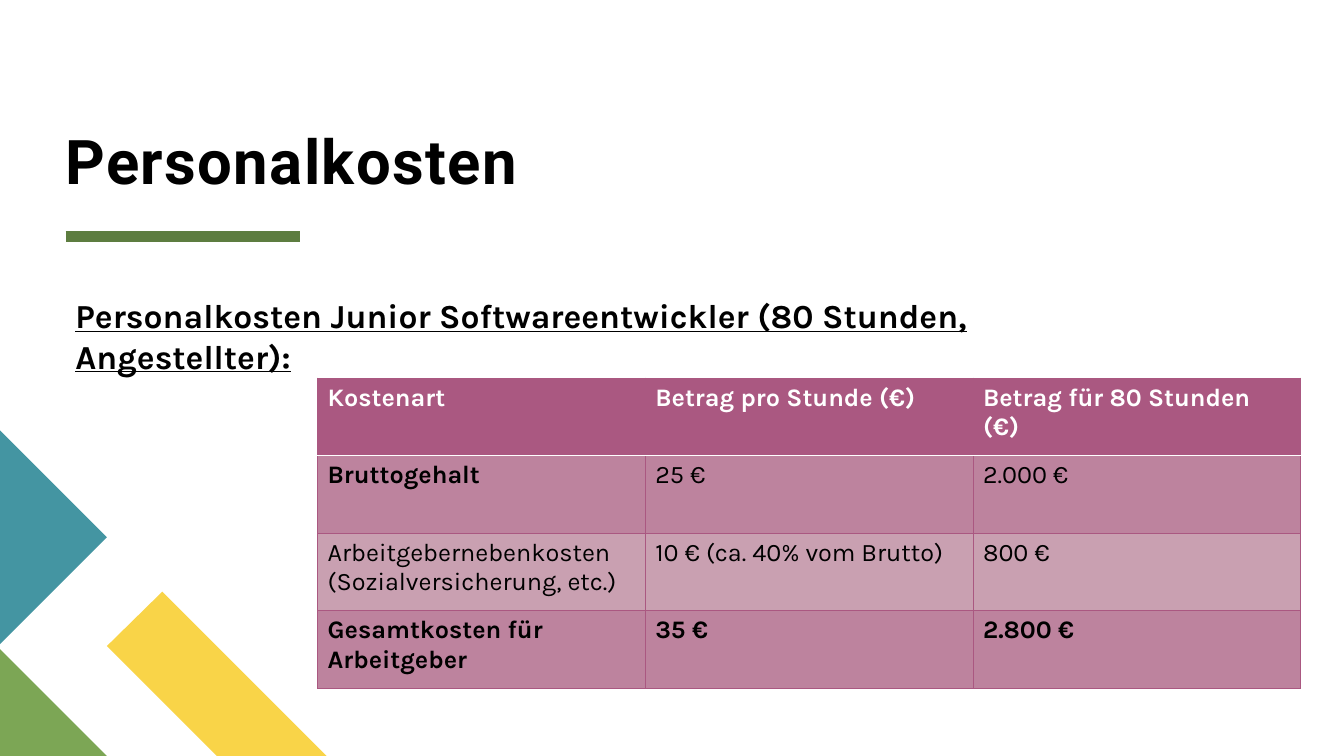
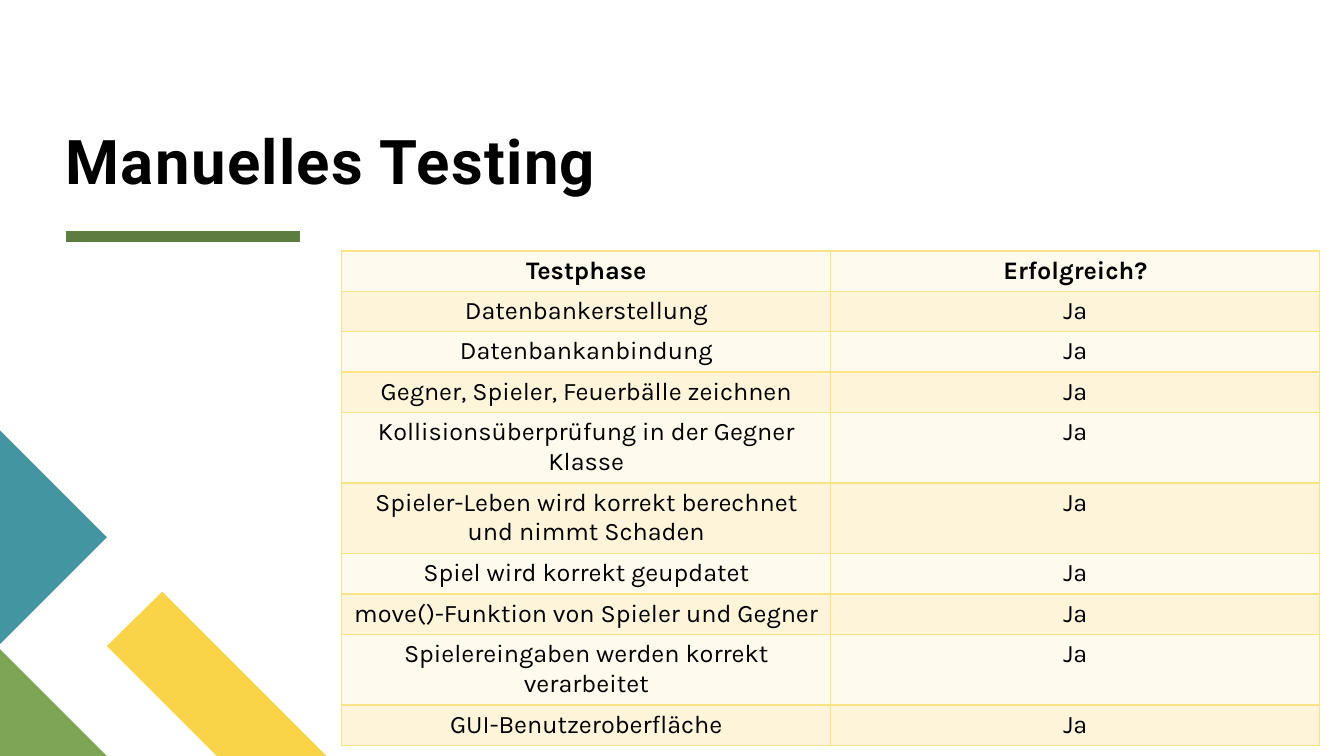
from dataclasses import dataclass

from lxml.etree import SubElement as Sub
from pptx import Presentation
from pptx.dml.color import RGBColor as Rgb
from pptx.enum.shapes import MSO_CONNECTOR as Link
from pptx.enum.text import MSO_ANCHOR as Anchor, MSO_AUTO_SIZE as Auto, PP_ALIGN as Align
from pptx.oxml.ns import qn
from pptx.slide import Slide
from pptx.util import Pt

PX = 9144  # EMU per px, 100 px to the inch


def px(num: int) -> int:
    return num * PX


@dataclass(frozen=True)
class Theme:
    black: str = "000000"
    white: str = "FFFFFF"
    rule: str = "5D7D40"
    teal: str = "4495A2"
    green: str = "7CA655"
    gold: str = "F9D448"
    plum: str = "AA5881"
    mauve: str = "BD839E"
    pink: str = "C9A0B1"
    cream: str = "FEFAED"
    sand: str = "FDF4D9"
    amber: str = "FBE284"
    head: str = "Roboto"
    body: str = "Karla"
    big: int = 44
    mid: int = 24
    small: int = 18


THEME = Theme()


@dataclass(frozen=True)
class Patch:
    color: str
    points: tuple[tuple[int, int], ...]


@dataclass(frozen=True)
class Grid:
    left: int
    top: int
    wide: int  # column width
    high: int  # row height
    rows: list[tuple[str, ...]]
    bold: set[tuple[int, int]]  # bold cells below the head row
    fills: tuple[str, str, str]  # head, odd rows, even rows
    ink: str  # head text
    edge: str
    weight: float
    under: str  # line below the head row
    align: Align


PATCHES = (
    Patch(THEME.gold, ((324, 750), (215, 750), (106, 641), (161, 587))),
    Patch(THEME.green, ((0, 644), (106, 750), (0, 750))),
    Patch(THEME.teal, ((0, 427), (106, 533), (0, 639))),
)

COSTS = Grid(
    315, 375, 325, 77,
    [
        ("Kostenart", "Betrag pro Stunde (€)", "Betrag für 80 Stunden (€)"),
        ("Bruttogehalt", "25 €", "2.000 €"),
        ("Arbeitgebernebenkosten (Sozialversicherung, etc.)",
         "10 € (ca. 40% vom Brutto)", "800 €"),
        ("Gesamtkosten für Arbeitgeber", "35 €", "2.800 €"),
    ],
    {(1, 0), (3, 0), (3, 1), (3, 2)},
    (THEME.plum, THEME.mauve, THEME.pink),
    THEME.white, THEME.plum, 0.5, THEME.white, Align.LEFT,
)

PHASES = (
    "Datenbankerstellung",
    "Datenbankanbindung",
    "Gegner, Spieler, Feuerbälle zeichnen",
    "Kollisionsüberprüfung in der Gegner Klasse",
    "Spieler-Leben wird korrekt berechnet und nimmt Schaden",
    "Spiel wird korrekt geupdatet",
    "move()-Funktion von Spieler und Gegner",
    "Spielereingaben werden korrekt verarbeitet",
    "GUI-Benutzeroberfläche",
)
TESTS = Grid(
    339, 249, 485, 37,
    [("Testphase", "Erfolgreich?")] + [(phase, "Ja") for phase in PHASES],
    set(),
    (THEME.cream, THEME.sand, THEME.cream),
    THEME.black, THEME.amber, 1, THEME.amber, Align.CENTER,
)


def style(para, face: str, size: int, color: str, bold: bool) -> None:
    font = para.font
    font.name, font.size, font.bold = face, Pt(size), bold
    font.color.rgb = Rgb.from_string(color)


def border(cell, side: str, color: str, weight: float, spot: int) -> None:
    props = cell._tc.get_or_add_tcPr()
    line = Sub(props, qn(f"a:ln{side}"), w=str(int(Pt(weight))))
    Sub(Sub(line, qn("a:solidFill")), qn("a:srgbClr"), val=color)
    props.insert(spot, line)  # lines come before the fill


def add_grid(slide: Slide, grid: Grid) -> None:
    rows, cols = len(grid.rows), len(grid.rows[0])
    table = slide.shapes.add_table(
        rows, cols, px(grid.left), px(grid.top),
        px(grid.wide * cols), px(grid.high * rows)).table
    table.horz_banding = False
    for r, texts in enumerate(grid.rows):
        fill = grid.fills[0] if r == 0 else grid.fills[2 - r % 2]
        for c, text in enumerate(texts):
            cell = table.cell(r, c)
            cell.text = text
            cell.fill.solid()
            cell.fill.fore_color.rgb = Rgb.from_string(fill)
            para = cell.text_frame.paragraphs[0]
            para.alignment = grid.align
            style(para, THEME.body, THEME.small, THEME.black if r else grid.ink,
                  r == 0 or (r, c) in grid.bold)
            for spot, side in enumerate("LRTB"):
                below = (r, side) in ((0, "B"), (1, "T"))
                border(cell, side, grid.under if below else grid.edge,
                       1 if below else grid.weight, spot)


def add_text(slide: Slide, text: str, left: int, top: int, wide: int, high: int):
    frame = slide.shapes.add_textbox(px(left), px(top), px(wide), px(high)).text_frame
    frame.word_wrap = True
    frame.text = text
    return frame, frame.paragraphs[0]


def add_base(deck, title: str) -> Slide:
    """Blank slide with the shared rule, corner patches and title."""
    slide = deck.slides.add_slide(deck.slide_layouts[6])

    # Rule below the title
    rule = slide.shapes.add_connector(Link.STRAIGHT, px(65), px(235), px(298), px(235))
    rule.line.color.rgb = Rgb.from_string(THEME.rule)
    rule.line.width = Pt(8)
    Sub(rule._element.spPr, qn("a:effectLst"))

    # Corner patches
    for patch in PATCHES:
        first, *rest = patch.points
        form = slide.shapes.build_freeform(*first, scale=PX)
        form.add_line_segments(rest, close=True)
        shape = form.convert_to_shape()
        shape.shadow.inherit = False
        shape.fill.solid()
        shape.fill.fore_color.rgb = Rgb.from_string(patch.color)
        shape.line.fill.background()

    # Title
    frame, para = add_text(slide, title, 65, 11, 1189, 184)
    frame.vertical_anchor = Anchor.BOTTOM
    frame.margin_left = frame.margin_right = frame.margin_top = frame.margin_bottom = 0
    para.line_spacing = 0.8
    style(para, THEME.head, THEME.big, THEME.black, True)
    para._p.pPr.find(qn("a:defRPr")).set("spc", "100")
    return slide


def main() -> None:
    deck = Presentation()
    deck.slide_width, deck.slide_height = px(1333), px(750)

    # Staff costs
    slide = add_base(deck, "Personalkosten")
    add_grid(slide, COSTS)
    frame, para = add_text(
        slide, "Personalkosten Junior Softwareentwickler (80 Stunden, Angestellter):",
        65, 288, 998, 50)
    frame.auto_size = Auto.SHAPE_TO_FIT_TEXT
    style(para, THEME.body, THEME.mid, THEME.black, True)
    para.font.underline = True

    # Manual tests
    add_grid(add_base(deck, "Manuelles Testing"), TESTS)

    deck.save("out.pptx")


if __name__ == "__main__":
    main()
